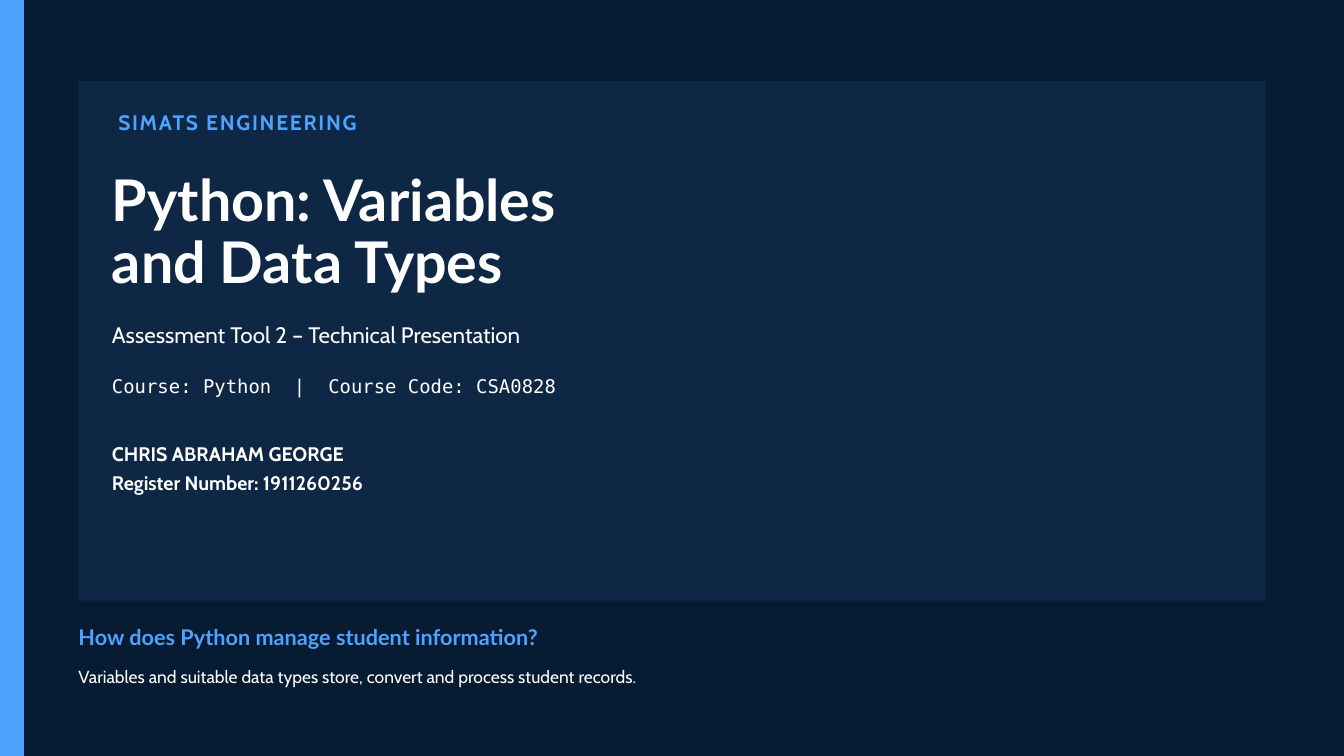
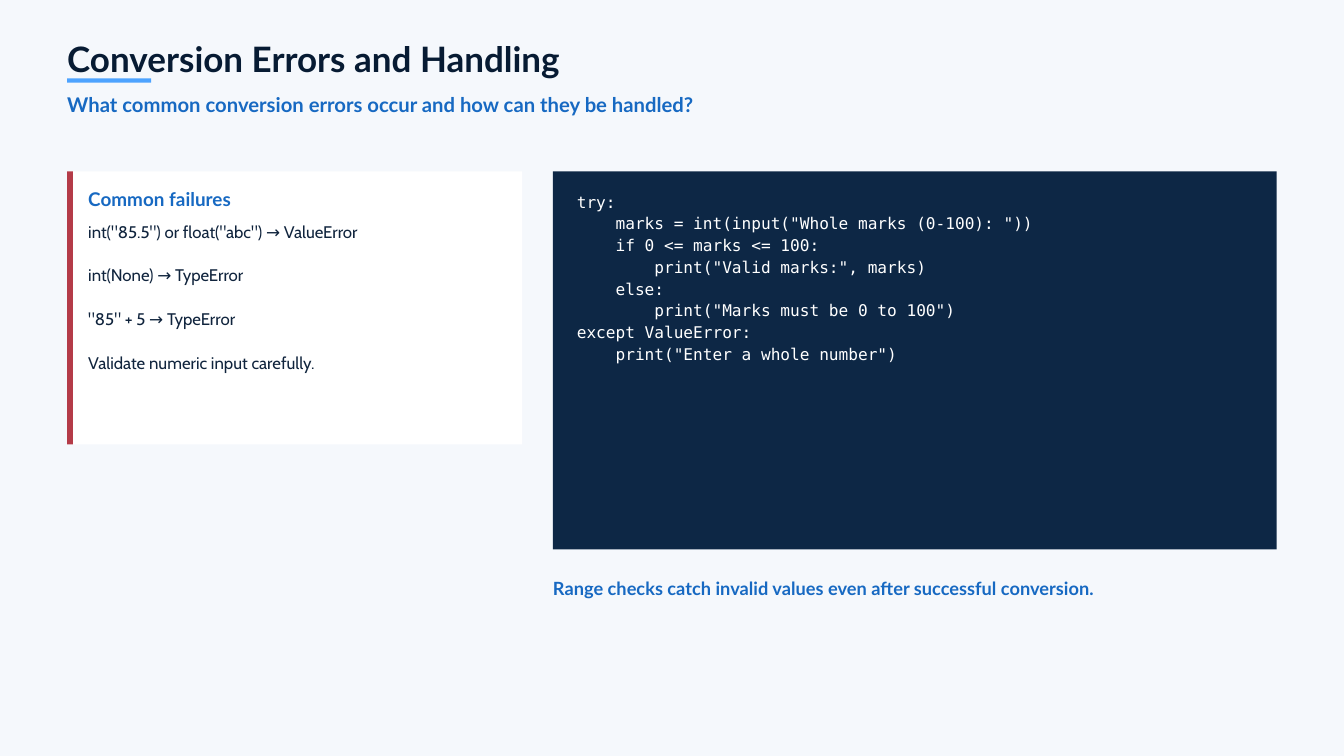
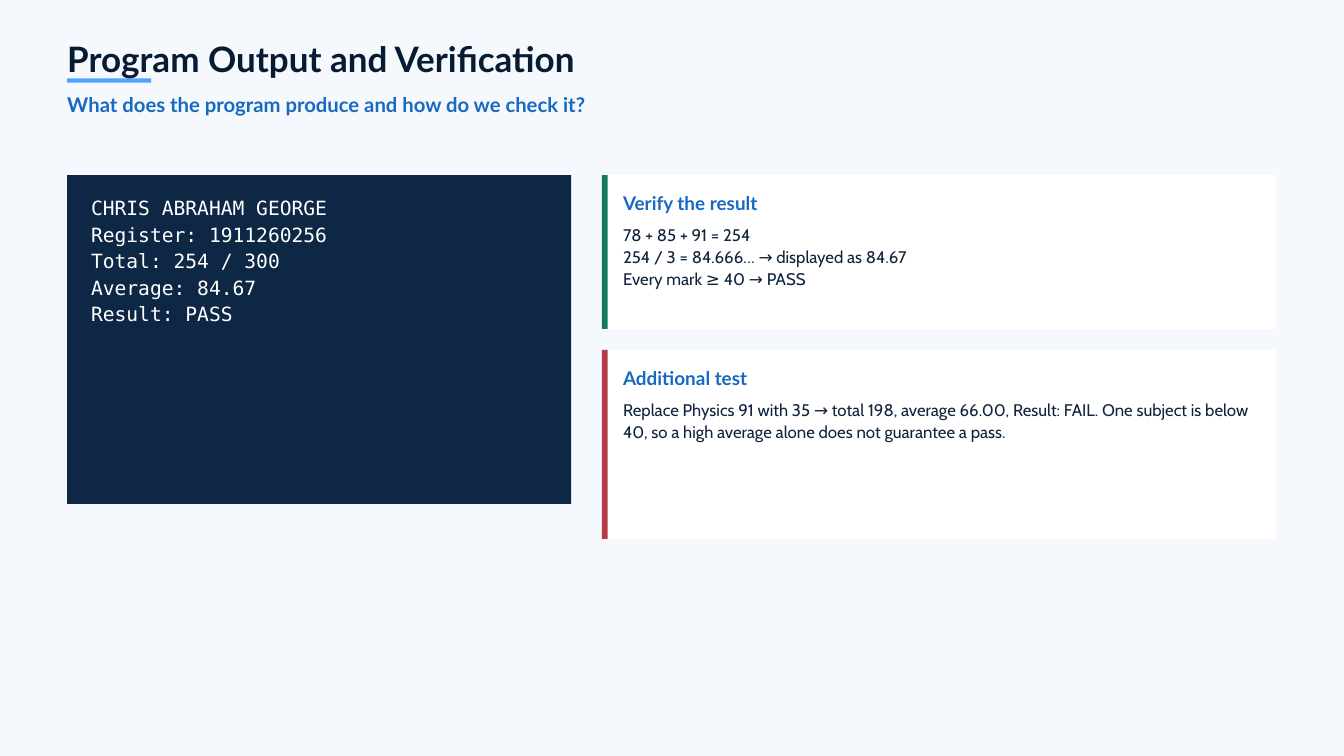
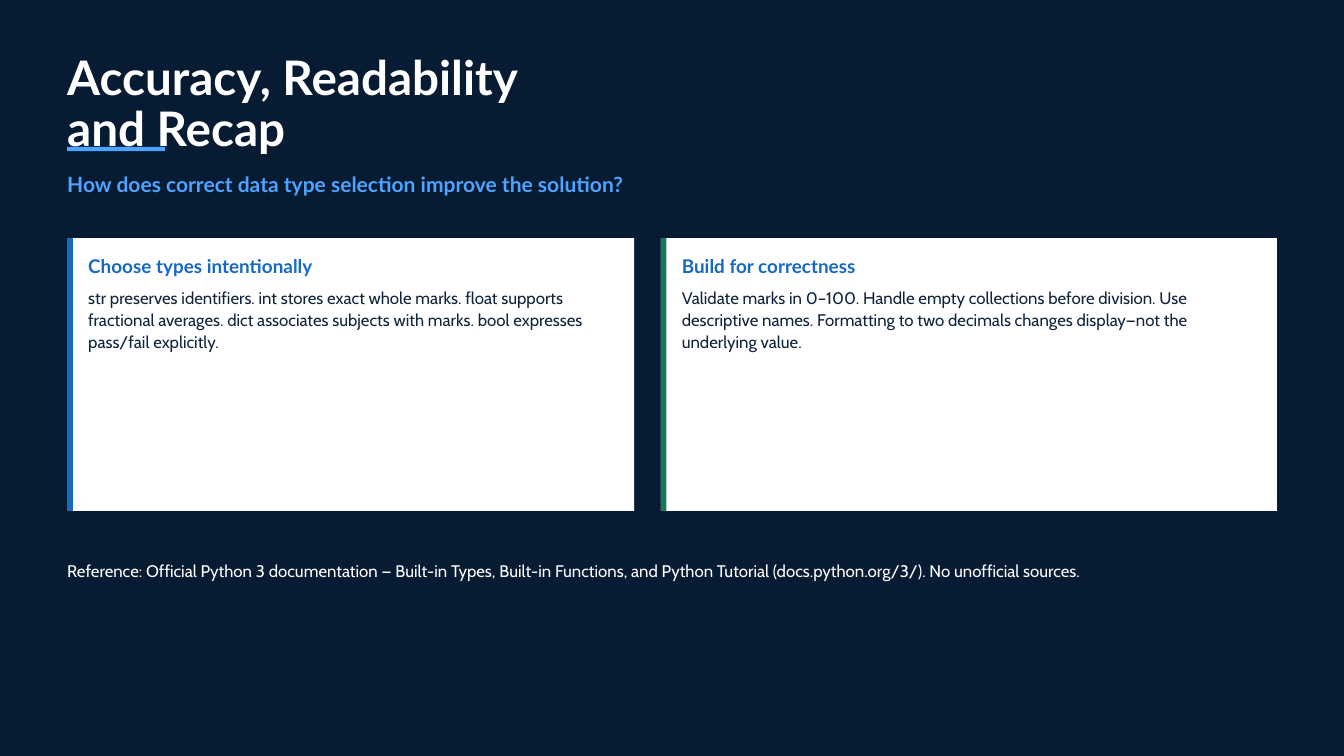
from dataclasses import dataclass, replace

from lxml import etree
from pptx import Presentation
from pptx import util as u
from pptx.dml.color import RGBColor
from pptx.enum import shapes, text
from pptx.oxml import ns

PX = 9525  # EMU per px: 1920 x 1080 px fill a 20 x 11.25 inch slide

# Colours
NAVY = RGBColor(0x07, 0x1B, 0x33)
PANEL = RGBColor(0x0D, 0x27, 0x45)
INK = RGBColor(0x10, 0x24, 0x3D)
PALE = RGBColor(0xF5, 0xF8, 0xFC)
WHITE = RGBColor(0xFF, 0xFF, 0xFF)
SKY = RGBColor(0x4D, 0xA3, 0xFF)
BLUE = RGBColor(0x17, 0x69, 0xC2)
RED = RGBColor(0xB4, 0x3B, 0x48)
GREEN = RGBColor(0x16, 0x7A, 0x5A)

# Page frame shared by the content slides
MARGIN = 96
CONTENT_W = 1728


@dataclass(frozen=True)
class Style:
    font: str
    size: float
    color: RGBColor
    line: float  # exact line spacing in points
    bold: bool = False
    spacing: int = 0  # letter spacing in hundredths of a point


COVER_TITLE = Style("Lato", 61.5, WHITE, 66.4, True)
RECAP_TITLE = Style("Lato", 51, WHITE, 55.1, True)
TITLE = Style("Lato", 37.5, NAVY, 40.5, True)
QUESTION = Style("Lato", 21.75, BLUE, 25.7, True)
COVER_QUESTION = Style("Lato", 23.25, SKY, 27.4, True)
RECAP_QUESTION = Style("Lato", 22.5, SKY, 26.5, True)
CARD_TITLE = Style("Lato", 20.25, BLUE, 23.9, True)
TAKEAWAY = Style("Lato", 19.5, BLUE, 23, True)
BODY = Style("Cabin", 18, INK, 23.4)
REFERENCE = Style("Cabin", 18, WHITE, 24.3)
SCHOOL = Style("Cabin", 22.5, SKY, 31.5, True, 180)
SUBTITLE = Style("Cabin", 24, WHITE, 33.6)
AUTHOR = Style("Cabin", 21, WHITE, 30.4, True)
SUMMARY = Style("Cabin", 18.75, WHITE, 26.2)
COURSE = Style("DejaVu Sans Mono", 20.25, WHITE, 28.4)
CODE = Style("DejaVu Sans Mono", 17.25, WHITE, 23.3)
OUTPUT = replace(CODE, size=21, line=28.4)


def px(n):
    return u.Emu(n * PX)


def add_slide(prs, background):
    slide = prs.slides.add_slide(prs.slide_layouts[6])
    slide.background.fill.solid()
    slide.background.fill.fore_color.rgb = background
    return slide


def add_rect(slide, x, y, w, h, color):
    sp = slide.shapes.add_shape(
        shapes.MSO_SHAPE.RECTANGLE, px(x), px(y), px(w), px(h))
    sp.shadow.inherit = False
    sp.fill.solid()
    sp.fill.fore_color.rgb = color
    sp.line.fill.background()


def add_tabs(p, stops):
    tabs = etree.SubElement(p._p.get_or_add_pPr(), ns.qn("a:tabLst"))
    for stop in stops:
        etree.SubElement(tabs, ns.qn("a:tab"), pos=str(px(stop)), algn="l")


def add_text(slide, x, y, w, content, style, gap=0, rows=None, tabs=()):
    """Write one paragraph per line of content, gap points apart."""
    lines = content.split("\n")
    rows = rows or len(lines)
    height = u.Pt(rows * style.line + (len(lines) - 1) * gap)
    tf = slide.shapes.add_textbox(px(x), px(y), px(w), height).text_frame
    tf.margin_left = tf.margin_top = tf.margin_right = tf.margin_bottom = 0
    tf.word_wrap = True
    tf.auto_size = text.MSO_AUTO_SIZE.SHAPE_TO_FIT_TEXT
    tf.text = content
    for i, p in enumerate(tf.paragraphs):
        p.line_spacing = u.Pt(style.line)
        if gap and i:
            p.space_before = u.Pt(gap)
        if tabs:
            add_tabs(p, tabs)
        for r in p.runs:
            r.font.name = style.font
            r.font.size = u.Pt(style.size)
            r.font.bold = style.bold
            r.font.color.rgb = style.color
            if style.spacing:
                r._r.get_or_add_rPr().set("spc", str(style.spacing))


def add_heading(slide, title, question):
    add_rect(slide, MARGIN, 112, 120, 6, SKY)
    add_text(slide, MARGIN, 59, CONTENT_W, title, TITLE)
    add_text(slide, MARGIN, 132, CONTENT_W, question, QUESTION)


def add_card(slide, x, y, w, h, accent, title, body, gap=0, rows=None):
    add_rect(slide, x, y, w, h, WHITE)
    add_rect(slide, x, y, 8, h, accent)
    add_text(slide, x + 30, y + 24, w - 55, title, CARD_TITLE)
    add_text(slide, x + 30, y + 69, w - 55, body, BODY, gap, rows)


def add_code(slide, x, y, w, h, code, style):
    add_rect(slide, x, y, w, h, PANEL)
    add_text(slide, x + 34, y + 26, w - 68, code, style)


def build_cover(prs):
    s = add_slide(prs, NAVY)
    add_rect(s, 0, 0, 34, 1080, SKY)
    add_rect(s, 112, 116, 1696, 742, PANEL)
    add_text(s, 169, 150, 1491, "SIMATS ENGINEERING", SCHOOL)
    add_text(s, 160, 245, 1260, "Python: Variables\nand Data Types", COVER_TITLE)
    add_text(s, 160, 453, 1200, "Assessment Tool 2 – Technical Presentation",
             SUBTITLE)
    add_text(s, 160, 530, 1100, "Course: Python\t|\tCourse Code: CSA0828",
             COURSE, tabs=(260, 309))
    add_text(s, 160, 625, 780,
             "CHRIS ABRAHAM GEORGE\nRegister Number: 1911260256", AUTHOR)
    add_text(s, 112, 892, 1220, "How does Python manage student information?",
             COVER_QUESTION)
    add_text(s, 112, 946, 1530,
             "Variables and suitable data types store, convert and process "
             "student records.", SUMMARY)


def build_errors(prs):
    s = add_slide(prs, PALE)
    add_heading(s, "Conversion Errors and Handling",
                "What common conversion errors occur and how can they be handled?")
    add_card(s, MARGIN, 245, 650, 390, RED, "Common failures",
             'int("85.5") or float("abc") → ValueError\n'
             'int(None) → TypeError\n'
             '"85" + 5 → TypeError\n'
             'Validate numeric input carefully.', gap=BODY.line)
    add_code(s, 790, 245, 1034, 540, '''try:
    marks = int(input("Whole marks (0-100): "))
    if 0 <= marks <= 100:
        print("Valid marks:", marks)
    else:
        print("Marks must be 0 to 100")
except ValueError:
    print("Enter a whole number")''', CODE)
    add_text(s, 790, 825, 1034,
             "Range checks catch invalid values even after successful conversion.",
             TAKEAWAY)


def build_output(prs):
    s = add_slide(prs, PALE)
    add_heading(s, "Program Output and Verification",
                "What does the program produce and how do we check it?")
    add_code(s, MARGIN, 250, 720, 470,
             "CHRIS ABRAHAM GEORGE\nRegister: 1911260256\nTotal: 254 / 300\n"
             "Average: 84.67\nResult: PASS", OUTPUT)
    add_card(s, 860, 250, 964, 220, GREEN, "Verify the result",
             "78 + 85 + 91 = 254\n"
             "254 / 3 = 84.666… → displayed as 84.67\n"
             "Every mark ≥ 40 → PASS")
    add_card(s, 860, 500, 964, 270, RED, "Additional test",
             "Replace Physics 91 with 35 → total 198, average 66.00, Result: "
             "FAIL. One subject is below 40, so a high average alone does not "
             "guarantee a pass.", rows=2)


def build_recap(prs):
    s = add_slide(prs, NAVY)
    add_text(s, MARGIN, 76, 1150, "Accuracy, Readability\nand Recap", RECAP_TITLE)
    add_text(s, MARGIN, 246, 1500,
             "How does correct data type selection improve the solution?",
             RECAP_QUESTION)
    add_rect(s, MARGIN, 210, 140, 6, SKY)
    add_card(s, MARGIN, 340, 810, 390, BLUE, "Choose types intentionally",
             "str preserves identifiers. int stores exact whole marks. float "
             "supports fractional averages. dict associates subjects with "
             "marks. bool expresses pass/fail explicitly.", rows=3)
    add_card(s, 944, 340, 880, 390, GREEN, "Build for correctness",
             "Validate marks in 0–100. Handle empty collections before "
             "division. Use descriptive names. Formatting to two decimals "
             "changes display—not the underlying value.", rows=3)
    add_text(s, MARGIN, 797, CONTENT_W,
             "Reference: Official Python 3 documentation — Built-in Types, "
             "Built-in Functions, and Python Tutorial (docs.python.org/3/). "
             "No unofficial sources.", REFERENCE)


def main():
    prs = Presentation()
    prs.slide_width, prs.slide_height = px(1920), px(1080)
    build_cover(prs)
    build_errors(prs)
    build_output(prs)
    build_recap(prs)
    prs.save("out.pptx")


if __name__ == "__main__":
    main()
